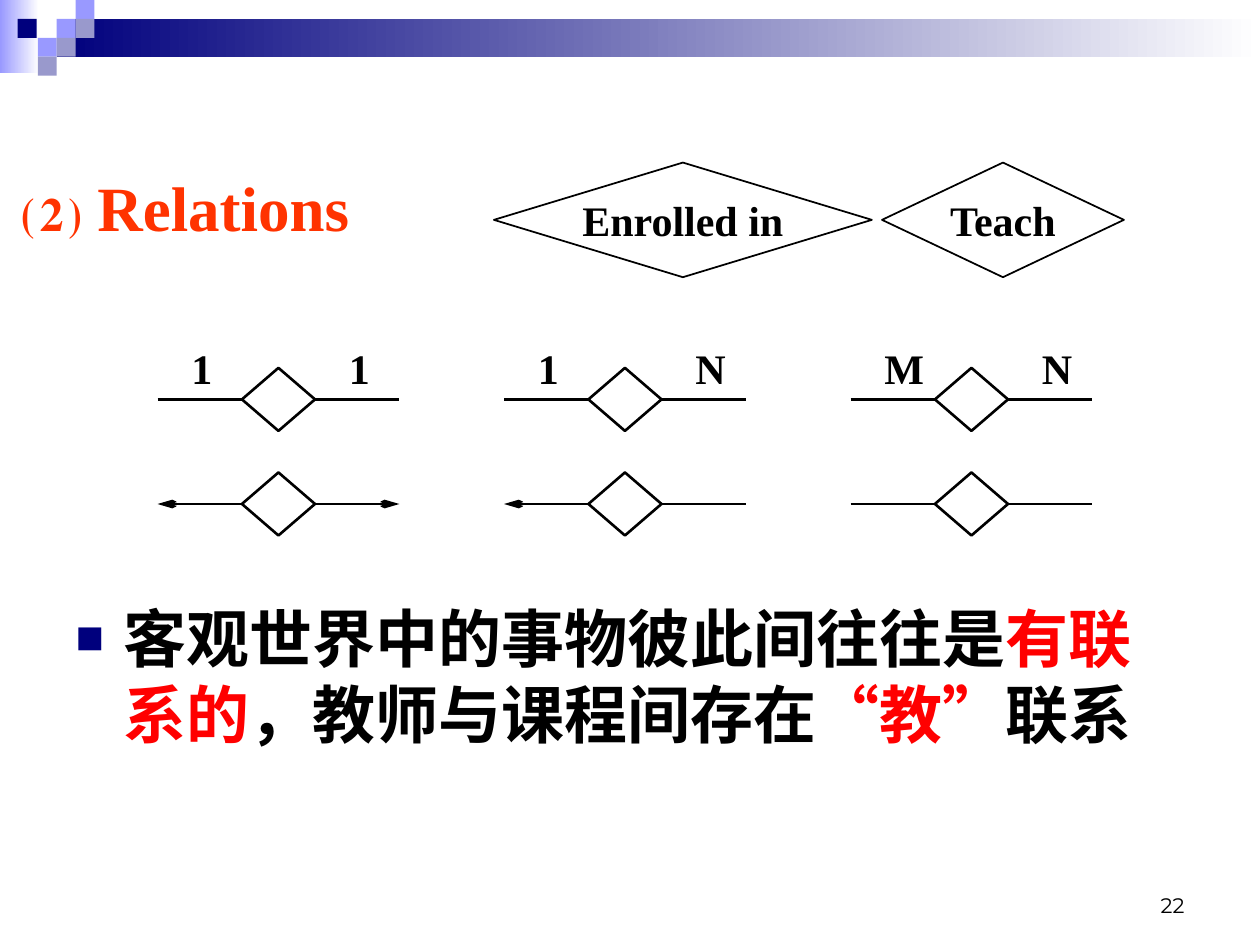
from pptx import Presentation
from pptx.dml.color import RGBColor
from pptx.enum.shapes import MSO_CONNECTOR, MSO_SHAPE
from pptx.enum.text import MSO_ANCHOR, MSO_AUTO_SIZE, PP_ALIGN
from pptx.oxml.ns import qn
from pptx.util import Inches, Pt
from lxml.etree import SubElement

NAVY, BLACK, RED = "00007D", "000000", "FF0000"


def rgb(color):
    return RGBColor.from_string(color)


def add_run(p, text, size, color=BLACK, font="Times New Roman", bold=True):
    r = p.add_run()
    r.text = text
    r.font.size = Pt(size)
    r.font.name = font
    r.font.bold = bold
    r.font.color.rgb = rgb(color)


prs = Presentation()
prs.slide_width, prs.slide_height = Inches(10), Inches(7.5)
s = prs.slides.add_slide(prs.slide_layouts[1])

# Header: gradient bands, then small squares
bands = [(0, 0, 0.31, 0.58, "9999FF"), (0.45, 0.15, 9.55, 0.3, NAVY)]
squares = [(0.45, 0.15, "9999FF"), (0.6, 0, "9999FF"), (0.6, 0.15, "9999CC"),
           (0.3, 0.3, "9999FF"), (0.14, 0.15, NAVY), (0.45, 0.3, "9999CC"),
           (0.3, 0.45, "9999CC")]
for x, y, w, h, color in bands:
    sp = s.shapes.add_shape(MSO_SHAPE.RECTANGLE, Inches(x), Inches(y), Inches(w), Inches(h))
    sp.shadow.inherit = False
    sp.line.fill.background()
    sp.fill.gradient()
    sp.fill.gradient_angle = 0
    for stop, c, pos in zip(sp.fill.gradient_stops, (color, "FFFFFF"), (0, 1)):
        stop.color.rgb = rgb(c)
        stop.position = pos
for x, y, color in squares:
    sp = s.shapes.add_shape(MSO_SHAPE.RECTANGLE, Inches(x), Inches(y), Inches(0.15), Inches(0.15))
    sp.shadow.inherit = False
    sp.line.fill.background()
    sp.fill.solid()
    sp.fill.fore_color.rgb = rgb(color)

# Title
title = s.shapes.title
title.left, title.top, title.width, title.height = map(Inches, (0.08, 1.29, 4.33, 0.7))
tf = title.text_frame
tf.auto_size = MSO_AUTO_SIZE.NONE
tf.vertical_anchor = MSO_ANCHOR.TOP
tf.paragraphs[0].alignment = PP_ALIGN.LEFT
add_run(tf.paragraphs[0], "⑵ Relations", 36, "FF3300")

# Bulleted statement
body = s.placeholders[1]
body.left, body.top, body.width, body.height = map(Inches, (0.5, 4.7, 9, 1.96))
tf = body.text_frame
tf.auto_size = MSO_AUTO_SIZE.NONE
p = tf.paragraphs[0]
p.line_spacing = Pt(43.5)
p.space_before = Pt(0)
pPr = p._p.get_or_add_pPr()
pPr.set("marL", str(Inches(0.38)))
pPr.set("indent", str(-Inches(0.38)))
SubElement(SubElement(pPr, qn("a:buClr")), qn("a:srgbClr")).set("val", NAVY)
SubElement(pPr, qn("a:buSzPct")).set("val", "75000")
SubElement(pPr, qn("a:buChar")).set("char", "■")
for text, color in [("客观世界中的事物彼此间往往是", BLACK), ("有联系的", RED),
                    ("，教师与课程间存在", BLACK), ("“教”", RED), ("联系", BLACK)]:
    add_run(p, text, 36, color)

# Diamonds: two named relations, then three columns by two rows
col_x = [1.25 + 2.75 * i for i in range(3)]
row_y = [3.17, 4]
diamonds = [(3.92, 1.29, 3, 0.91, 1, "Enrolled in"), (7, 1.29, 1.92, 0.91, 1, "Teach")]
diamonds += [(x + 0.67, y - 0.25, 0.58, 0.5, 1.5, "") for y in row_y for x in col_x]
for x, y, w, h, weight, label in diamonds:
    sp = s.shapes.add_shape(MSO_SHAPE.DIAMOND, Inches(x), Inches(y), Inches(w), Inches(h))
    sp.shadow.inherit = False
    sp.fill.background()
    sp.line.color.rgb = rgb(BLACK)
    sp.line.width = Pt(weight)
    if label:
        tf = sp.text_frame
        tf.word_wrap = False
        tf.vertical_anchor = MSO_ANCHOR.MIDDLE
        tf.paragraphs[0].alignment = PP_ALIGN.CENTER
        add_run(tf.paragraphs[0], label, 24)

# Lines on both sides of each small diamond; arrows mark the "one" sides
arrows = {(0, 1): ("headEnd", "tailEnd"), (1, 1): ("headEnd", None)}
for row, y in enumerate(row_y):
    for col, x in enumerate(col_x):
        ends = arrows.get((col, row), (None, None))
        for start, end in zip((x, x + 1.25), ends):
            line = s.shapes.add_connector(MSO_CONNECTOR.STRAIGHT, Inches(start), Inches(y),
                                          Inches(start + 0.67), Inches(y))
            line.line.color.rgb = rgb(BLACK)
            line.line.width = Pt(1.5)
            if end:
                tip = SubElement(line.line._get_or_add_ln(), qn("a:" + end))
                for key, val in (("type", "arrow"), ("w", "sm"), ("len", "lg")):
                    tip.set(key, val)
            SubElement(line._element.spPr, qn("a:effectLst"))

# Cardinalities above the first row
for x, pair in zip(col_x, ("11", "1N", "MN")):
    for left, label in zip((x + 0.17, x + 1.42), pair):
        sp = s.shapes.add_textbox(Inches(left), Inches(2.67), Inches(0.33), Inches(0.5))
        sp.text_frame.word_wrap = False
        add_run(sp.text_frame.paragraphs[0], label, 24)

# Slide number
sp = s.shapes.add_textbox(Inches(7.17), Inches(6.83), Inches(2.33), Inches(0.5))
tf = sp.text_frame
tf.word_wrap = True
tf.vertical_anchor = MSO_ANCHOR.BOTTOM
tf.paragraphs[0].alignment = PP_ALIGN.RIGHT
add_run(tf.paragraphs[0], "22", 12, font="Montserrat", bold=False)

prs.save("out.pptx")
